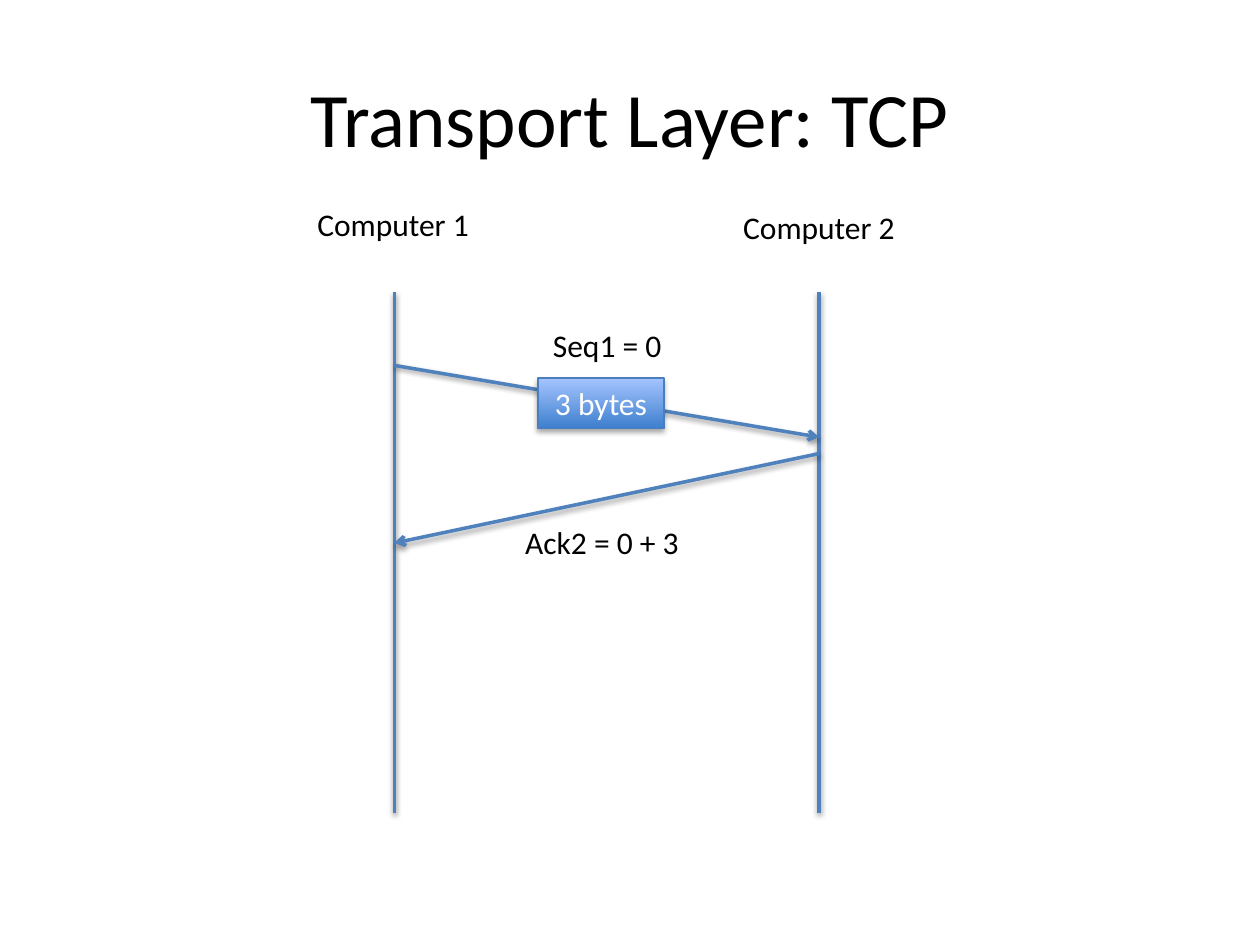
from pptx import Presentation
from pptx.dml.color import RGBColor
from pptx.enum.shapes import MSO_CONNECTOR, MSO_SHAPE
from pptx.enum.text import MSO_ANCHOR, PP_ALIGN
from pptx.oxml import parse_xml
from pptx.oxml.ns import nsdecls
from pptx.util import Inches, Pt

BLACK = RGBColor(0x00, 0x00, 0x00)
WHITE = RGBColor(0xFF, 0xFF, 0xFF)
LINE_BLUE = RGBColor(0x4F, 0x81, 0xBD)
BORDER_BLUE = RGBColor(0x4B, 0x7E, 0xBC)
DEEP_BLUE = RGBColor(0x3F, 0x80, 0xCE)
PALE_BLUE = RGBColor(0xA4, 0xC4, 0xFF)

COMPUTER_1_X, COMPUTER_2_X = 3.13, 6.5
TIMELINE_TOP, TIMELINE_BOTTOM = 2.32, 6.45


def add_shadow(shape, opacity, distance):
    """Drop a soft black shadow straight down; call after the line is set."""
    shape._element.spPr.append(parse_xml(
        f'<a:effectLst {nsdecls("a")}>'
        f'<a:outerShdw blurRad="{Pt(3.1)}" dist="{Pt(distance)}" dir="5400000" rotWithShape="0">'
        f'<a:srgbClr val="000000"><a:alpha val="{opacity * 1000}"/></a:srgbClr>'
        '</a:outerShdw></a:effectLst>'))


def set_text(shape, text, size, color, align):
    paragraph = shape.text_frame.paragraphs[0]
    paragraph.text = text
    paragraph.alignment = align
    paragraph.font.name = "Calibri"
    paragraph.font.size = Pt(size)
    paragraph.font.color.rgb = color


prs = Presentation()
prs.slide_width, prs.slide_height = Inches(10), Inches(7.5)
slide = prs.slides.add_slide(prs.slide_layouts[6])
shapes = slide.shapes

title = shapes.add_textbox(Inches(0.5), Inches(0.3), Inches(9), Inches(1.25))
title.text_frame.word_wrap = True
title.text_frame.vertical_anchor = MSO_ANCHOR.MIDDLE
set_text(title, "Transport Layer: TCP", 44, BLACK, PP_ALIGN.CENTER)

# Timelines of the two computers, then the messages between them
for x1, y1, x2, y2, is_message in [
    (COMPUTER_1_X, TIMELINE_TOP, COMPUTER_1_X, TIMELINE_BOTTOM, False),
    (COMPUTER_2_X, TIMELINE_TOP, COMPUTER_2_X, TIMELINE_BOTTOM, False),
    (COMPUTER_1_X, 2.9, COMPUTER_2_X, 3.47, True),
    (COMPUTER_2_X, 3.6, COMPUTER_1_X, 4.31, True),
]:
    connector = shapes.add_connector(
        MSO_CONNECTOR.STRAIGHT, Inches(x1), Inches(y1), Inches(x2), Inches(y2))
    connector.line.color.rgb = LINE_BLUE
    connector.line.width = Pt(2)
    if is_message:
        connector.line._get_or_add_ln().append(
            parse_xml(f'<a:tailEnd {nsdecls("a")} type="arrow"/>'))
    add_shadow(connector, 38, 1.6)

for text, left, top, width in [
    ("Computer 1", 2.42, 1.58, 1.42),
    ("Computer 2", 5.8, 1.6, 1.42),
    ("Seq1 = 0", 4.29, 2.54, 1.07),
    ("Ack2 = 0 + 3", 4.07, 4.1, 1.43),
]:
    label = shapes.add_textbox(Inches(left), Inches(top), Inches(width), Inches(0.4))
    label.text_frame.word_wrap = False
    set_text(label, text, 18, BLACK, PP_ALIGN.LEFT)

payload = shapes.add_shape(
    MSO_SHAPE.RECTANGLE, Inches(4.27), Inches(3), Inches(1), Inches(0.4))
payload.fill.gradient()
payload.fill.gradient_angle = 90
for stop, color in zip(payload.fill.gradient_stops, (DEEP_BLUE, PALE_BLUE)):
    stop.color.rgb = color
payload.line.color.rgb = BORDER_BLUE
payload.line.width = Pt(0.75)
add_shadow(payload, 35, 1.8)
payload.text_frame.vertical_anchor = MSO_ANCHOR.MIDDLE
set_text(payload, "3 bytes", 18, WHITE, PP_ALIGN.CENTER)

prs.save("out.pptx")
